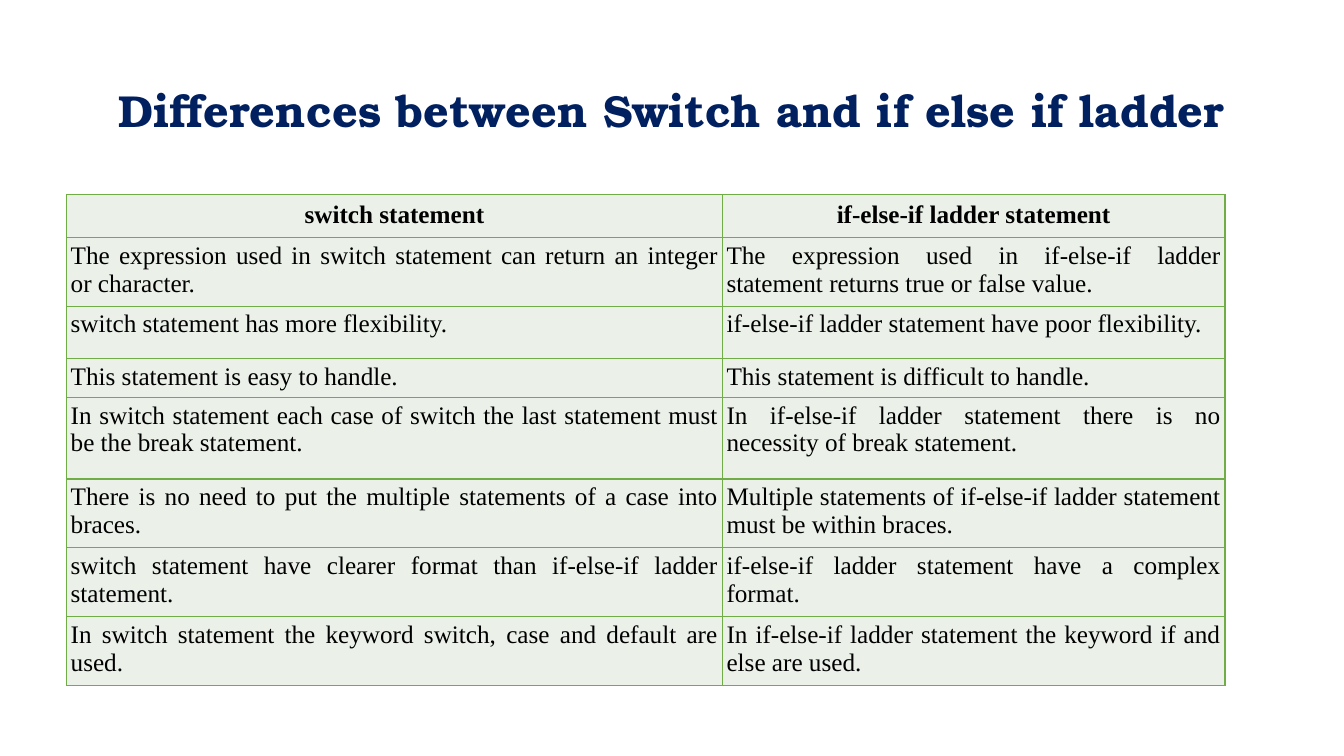
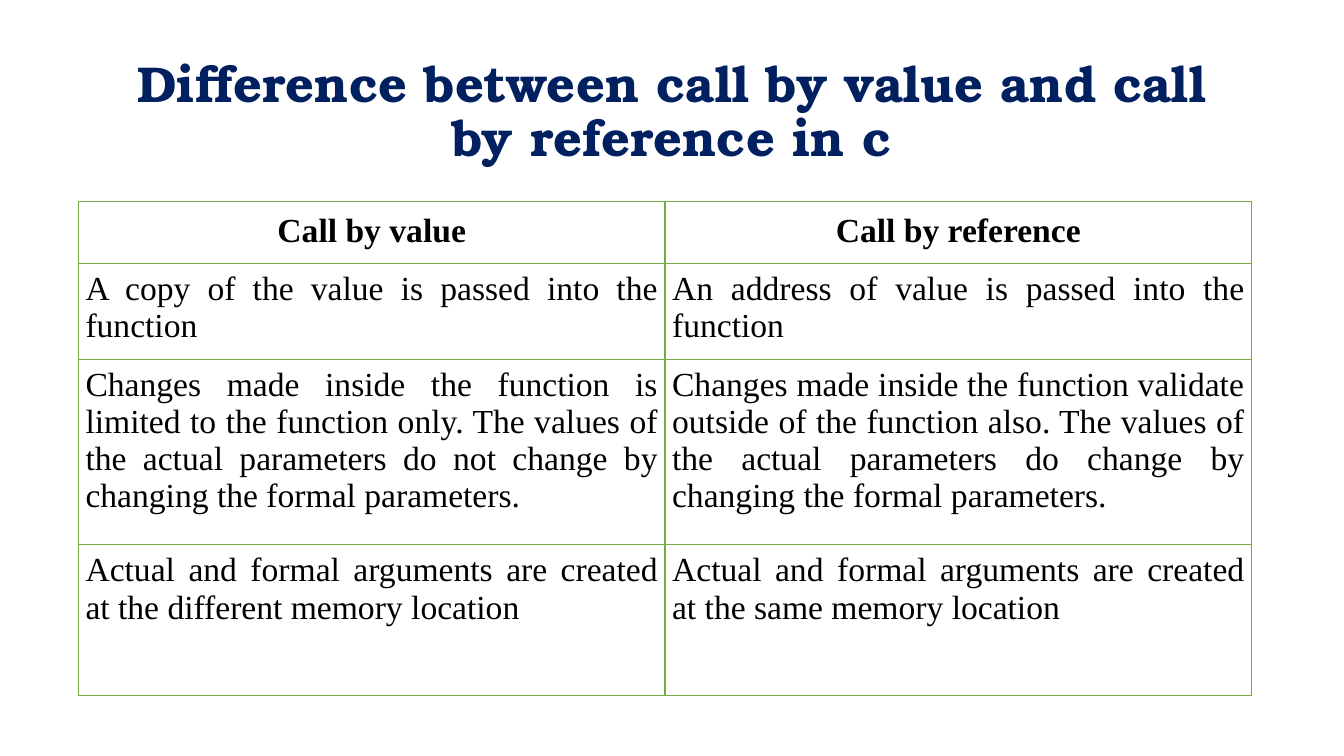
from dataclasses import dataclass

from lxml.etree import SubElement
from pptx import Presentation
from pptx.dml.color import RGBColor
from pptx.enum.text import MSO_ANCHOR, PP_ALIGN
from pptx.oxml.ns import qn
from pptx.util import Pt


@dataclass(frozen=True)
class Theme:
    title_font: str = "TeX Gyre Bonum"
    body_font: str = "Times New Roman"
    navy: str = "002060"
    black: str = "000000"
    green: str = "70AD47"
    pale_green: str = "EBF1E9"
    long_title: int = 32
    title: int = 36
    dense_body: int = 18
    body: int = 24
    border: int = 1


def apply_format(target, values):
    for name, value in values.items():
        setattr(target, name, value)


class Deck:
    def __init__(self, theme):
        self.theme = theme
        self.presentation = Presentation()
        apply_format(self.presentation, {"slide_width": Pt(960), "slide_height": Pt(540)})
        self.slide = None

    def add_slide(self):
        self.slide = self.presentation.slides.add_slide(self.presentation.slide_layouts[6])

    def set_text(self, frame, text, size, font, color, bold, paragraph_format):
        paragraph = frame.paragraphs[0]
        paragraph.text = text
        apply_format(paragraph, paragraph_format)
        apply_format(paragraph.font, {"name": font, "size": Pt(size), "bold": bold})
        paragraph.font.color.rgb = RGBColor.from_string(color)

    def add_title(self, text, size):
        heading = self.slide.shapes.add_textbox(Pt(66), Pt(29), Pt(828), Pt(104))
        frame = heading.text_frame
        apply_format(frame, {"word_wrap": True, "vertical_anchor": MSO_ANCHOR.MIDDLE})
        self.set_text(frame, text, size, self.theme.title_font, self.theme.navy, True,
                      {"alignment": PP_ALIGN.CENTER, "line_spacing": 0.9})

    def add_border(self, cell):
        properties = cell._tc.get_or_add_tcPr()
        for side in ("a:lnL", "a:lnR", "a:lnT", "a:lnB"):
            line = SubElement(properties, qn(side), w=str(Pt(self.theme.border)))
            SubElement(SubElement(line, qn("a:solidFill")), qn("a:srgbClr"), val=self.theme.green)

    def add_comparison(self, left, top, widths, heights, statements, size,
                       header_inset, body_inset, fill=None):
        comparison = self.slide.shapes.add_table(
            len(heights), len(widths), Pt(left), Pt(top), Pt(sum(widths)), Pt(sum(heights))).table
        apply_format(comparison, {"first_row": False, "horz_banding": False})
        for column, width in zip(comparison.columns, widths):
            column.width = Pt(width)
        for index, (row, height, pair) in enumerate(zip(comparison.rows, heights, statements)):
            row.height = Pt(height)
            is_header = index == 0
            inset = Pt(header_inset if is_header else body_inset)
            alignment = PP_ALIGN.CENTER if is_header else PP_ALIGN.JUSTIFY
            for cell, statement in zip(row.cells, pair):
                apply_format(cell, {"margin_left": inset, "margin_right": inset,
                                    "margin_top": inset, "margin_bottom": inset})
                self.add_border(cell)
                if fill:
                    cell.fill.solid()
                    cell.fill.fore_color.rgb = RGBColor.from_string(fill)
                else:
                    cell.fill.background()
                self.set_text(cell.text_frame, statement, size, self.theme.body_font,
                              self.theme.black, is_header, {"alignment": alignment})


SWITCH_VERSUS_LADDER = [
    ("switch statement", "if-else-if ladder statement"),
    ("The expression used in switch statement can return an integer or character.",
     "The expression used in if-else-if ladder statement returns true or false value."),
    ("switch statement has more flexibility.",
     "if-else-if ladder statement have poor flexibility."),
    ("This statement is easy to handle.", "This statement is difficult to handle."),
    ("In switch statement each case of switch the last statement must be the break statement.",
     "In if-else-if ladder statement there is no necessity of break statement."),
    ("There is no need to put the multiple statements of a case into braces.",
     "Multiple statements of if-else-if ladder statement must be within braces."),
    ("switch statement have clearer format than if-else-if ladder statement.",
     "if-else-if ladder statement have a complex format."),
    ("In switch statement the keyword switch, case and default are used.",
     "In if-else-if ladder statement the keyword if and else are used."),
]

VALUE_VERSUS_REFERENCE = [
    ("Call by value", "Call by reference"),
    ("A copy of the value is passed into the function",
     "An address of value is passed into the function"),
    ("Changes made inside the function is limited to the function only. The values of "
     "the actual parameters do not change by changing the formal parameters.",
     "Changes made inside the function validate outside of the function also. The values of "
     "the actual parameters do change by changing the formal parameters."),
    ("Actual and formal arguments are created at the different memory location",
     "Actual and formal arguments are created at the same memory location"),
]


def main():
    theme = Theme()
    deck = Deck(theme)

    deck.add_slide()
    deck.add_title("Differences between Switch and if else if ladder", theme.long_title)
    deck.add_comparison(47.5, 139, (468.5, 359), (29.8, 47.7, 37.5, 26.6, 58.3, 47.7, 47.7, 47.7),
                        SWITCH_VERSUS_LADDER, theme.dense_body, 4.5, 3, theme.pale_green)

    deck.add_slide()
    deck.add_title("Difference between call by value and call by reference in c", theme.title)
    deck.add_comparison(56, 144, (419, 419), (43, 68.5, 132.5, 107.5),
                        VALUE_VERSUS_REFERENCE, theme.body, 7.7, 5.1)

    deck.presentation.save("out.pptx")


if __name__ == "__main__":
    main()
